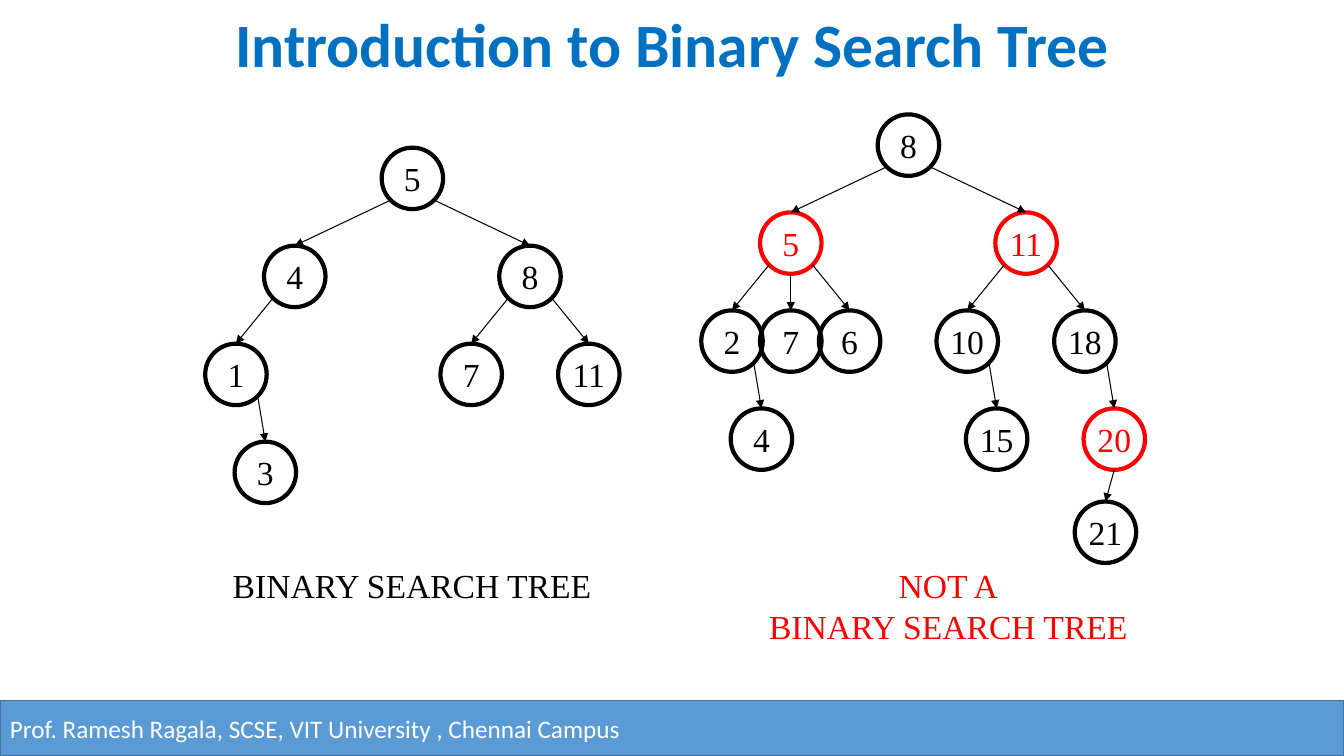
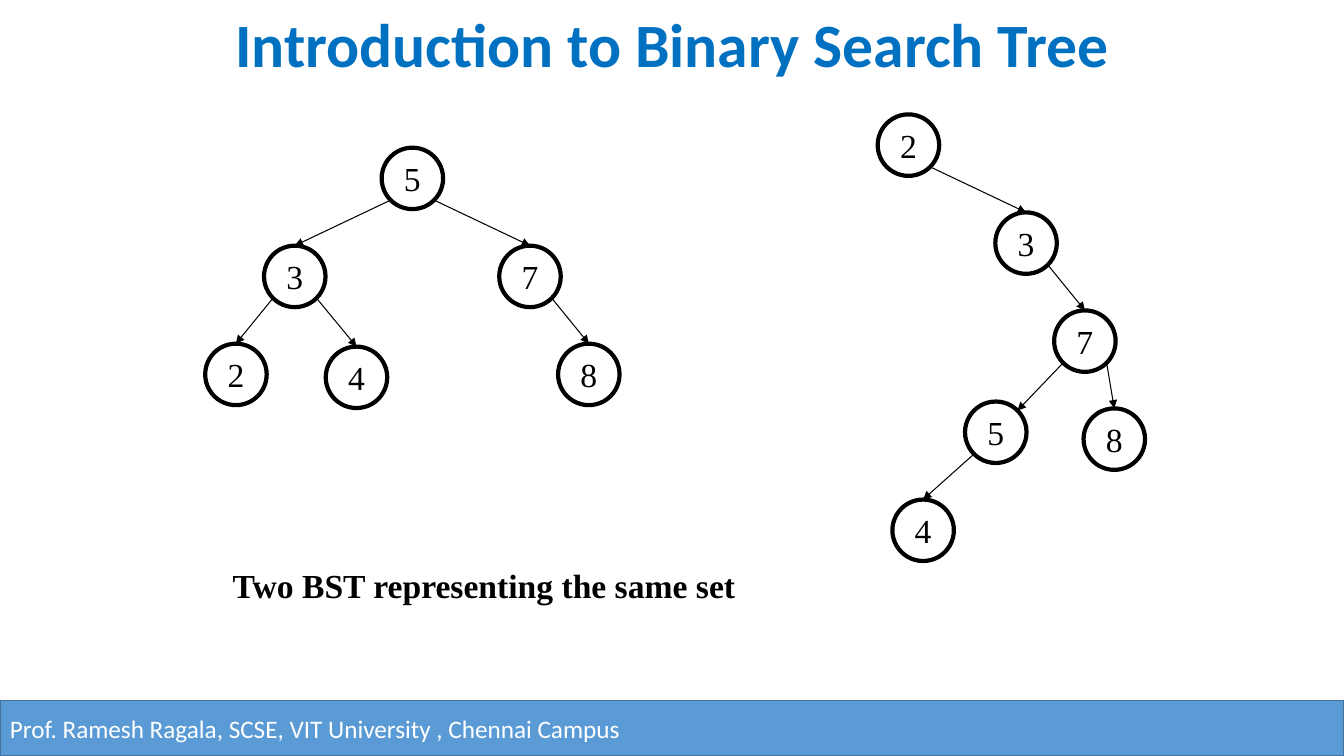
"""Two slides of binary search tree diagrams drawn from node lists."""
import pptx
import pptx.dml.color
import pptx.enum.shapes
import pptx.enum.text
import pptx.oxml
import pptx.oxml.ns
import pptx.util
from collections import namedtuple
from dataclasses import dataclass
from math import sqrt

Inches = pptx.util.Inches
Pt = pptx.util.Pt
SHAPE = pptx.enum.shapes.MSO_SHAPE
ALIGN = pptx.enum.text.PP_ALIGN
ANCHOR = pptx.enum.text.MSO_ANCHOR


@dataclass(frozen=True)
class Theme:
    title: str = "0070C0"
    band: str = "5B9BD5"
    band_line: str = "43739E"
    white: str = "FFFFFF"
    ink: str = "000000"
    alert: str = "FF0000"
    sans: str = "Calibri"
    serif: str = "Times New Roman"
    title_size: int = 44
    footer_size: int = 18
    body_size: int = 24
    node_line: float = 3
    edge_line: float = 0.75


T = Theme()
WIDTH, HEIGHT, BAND = 13.33, 7.5, 0.55
COL, ROW, NODE = 3.5 / 12, 3.5 / 3.6, 0.61
LEFT_ROOT, RIGHT_ROOT = (4.09, 1.77), (9.01, 1.44)
CAPTION_TOP, CAPTION_WIDTH = 5.56, 5.55
TITLE = "Introduction to Binary Search Tree"
FOOTER = "Prof. Ramesh Ragala, SCSE, VIT University , Chennai Campus"

Node = namedtuple("Node", "value parent col row color end", defaults=(T.ink, "top"))
Caption = namedtuple("Caption", "lines left color align bold")

SLIDES = [
    {
        "trees": [
            (LEFT_ROOT, [
                Node(5, None, 0, 0),
                Node(4, 5, -4, 1), Node(8, 5, 4, 1),
                Node(1, 4, -6, 2), Node(7, 8, 2, 2), Node(11, 8, 6, 2),
                Node(3, 1, -5, 3),
            ]),
            (RIGHT_ROOT, [
                Node(8, None, 0, 0),
                Node(5, 8, -4, 1, T.alert), Node(11, 8, 4, 1, T.alert),
                Node(2, 5, -6, 2), Node(7, 5, -4, 2), Node(6, 5, -2, 2),
                Node(10, 11, 2, 2), Node(18, 11, 6, 2),
                Node(4, 2, -5, 3), Node(15, 10, 3, 3), Node(20, 18, 7, 3, T.alert),
                Node(21, 20, 6.7, 3.95),
            ]),
        ],
        "captions": [
            Caption(["BINARY SEARCH TREE"], 2.21, T.ink, ALIGN.LEFT, False),
            Caption(["NOT A", "BINARY SEARCH TREE"], 6.63, T.alert, ALIGN.CENTER, False),
        ],
    },
    {
        "trees": [
            (LEFT_ROOT, [
                Node(5, None, 0, 0),
                Node(3, 5, -4, 1), Node(7, 5, 4, 1),
                Node(2, 3, -6, 2), Node(4, 3, -1.9, 2.03), Node(8, 7, 6, 2),
            ]),
            (RIGHT_ROOT, [
                Node(2, None, 0, 0),
                Node(3, 2, 4, 1),
                Node(7, 3, 6, 2),
                Node(5, 7, 2.97, 2.93, T.ink, "top right"), Node(8, 7, 7, 3),
                Node(4, 5, 0.5, 3.93),
            ]),
        ],
        "captions": [
            Caption(["Two BST representing the same set"], 2.21, T.ink, ALIGN.LEFT, True),
        ],
    },
]


def rgb(color):
    return pptx.dml.color.RGBColor.from_string(color)


def box(left, top, width, height):
    return [Inches(v) for v in (left, top, width, height)]


def write(sp, lines, size, font, color, align=ALIGN.LEFT, bold=False, wrap=True, anchor=ANCHOR.MIDDLE):
    tf = sp.text_frame
    tf.text = "\n".join(lines)
    tf.word_wrap, tf.vertical_anchor = wrap, anchor
    for p in tf.paragraphs:
        p.alignment = align
        for r in p.runs:
            r.font.size, r.font.name, r.font.bold = Pt(size), font, bold
            r.font.color.rgb = rgb(color)
    return tf


def outline(sp, color, width):
    sp.shadow.inherit = False
    sp.line.color.rgb = rgb(color)
    sp.line.width = Pt(width)


def add_band(slide):
    sp = slide.shapes.add_shape(SHAPE.RECTANGLE, *box(0, HEIGHT - BAND, WIDTH, BAND))
    sp.fill.solid()
    sp.fill.fore_color.rgb = rgb(T.band)
    outline(sp, T.band_line, 1)
    write(sp, [FOOTER], T.footer_size, T.sans, T.white)


def add_title(slide):
    tf = write(slide.shapes.title, [TITLE], T.title_size, T.sans, T.title, ALIGN.CENTER, True)
    tf.auto_size = pptx.enum.text.MSO_AUTO_SIZE.NONE
    tf.paragraphs[0].line_spacing = 0.9


def add_node(slide, node, x, y):
    sp = slide.shapes.add_shape(SHAPE.OVAL, *box(x - NODE / 2, y - NODE / 2, NODE, NODE))
    sp.fill.background()
    outline(sp, node.color, T.node_line)
    write(sp, [str(node.value)], T.body_size, T.serif, node.color, ALIGN.CENTER, wrap=False)


def add_edge(slide, start, end):
    line = slide.shapes.add_connector(
        pptx.enum.shapes.MSO_CONNECTOR.STRAIGHT, *[Inches(v) for v in start + end])
    line.line.color.rgb = rgb(T.ink)
    line.line.width = Pt(T.edge_line)
    ns = pptx.oxml.ns.nsdecls("a")
    line.line._get_or_add_ln().append(pptx.oxml.parse_xml(f'<a:tailEnd {ns} type="triangle"/>'))
    line.element.spPr.append(pptx.oxml.parse_xml(f'<a:effectLst {ns}/>'))


def add_tree(slide, root, nodes):
    radius = NODE / 2
    diagonal = radius / sqrt(2)
    centers = {n.value: (root[0] + n.col * COL, root[1] + n.row * ROW) for n in nodes}
    for node in nodes:
        x, y = centers[node.value]
        add_node(slide, node, x, y)
        if node.parent is None:
            continue
        px, py = centers[node.parent]
        if abs(x - px) < COL / 2:
            start = (px, py + radius)
        else:
            start = (px + (diagonal if x > px else -diagonal), py + diagonal)
        end = (x, y - radius) if node.end == "top" else (x + diagonal, y - diagonal)
        add_edge(slide, start, end)


def add_caption(slide, caption):
    height = 0.1 + 0.4 * len(caption.lines)
    sp = slide.shapes.add_textbox(*box(caption.left, CAPTION_TOP, CAPTION_WIDTH, height))
    write(sp, caption.lines, T.body_size, T.serif, caption.color, caption.align, caption.bold,
          anchor=ANCHOR.TOP)


def main():
    prs = pptx.Presentation()
    prs.slide_width, prs.slide_height = Inches(WIDTH), Inches(HEIGHT)
    layout = prs.slide_layouts.get_by_name("Title Only")
    title = layout.placeholders[0]
    title.left, title.top, title.width, title.height = box(0.12, 0.08, 13.1, 0.78)
    for content in SLIDES:
        slide = prs.slides.add_slide(layout)
        add_band(slide)
        add_title(slide)
        for root, nodes in content["trees"]:
            add_tree(slide, root, nodes)
        for caption in content["captions"]:
            add_caption(slide, caption)
    prs.save("out.pptx")


if __name__ == "__main__":
    main()
